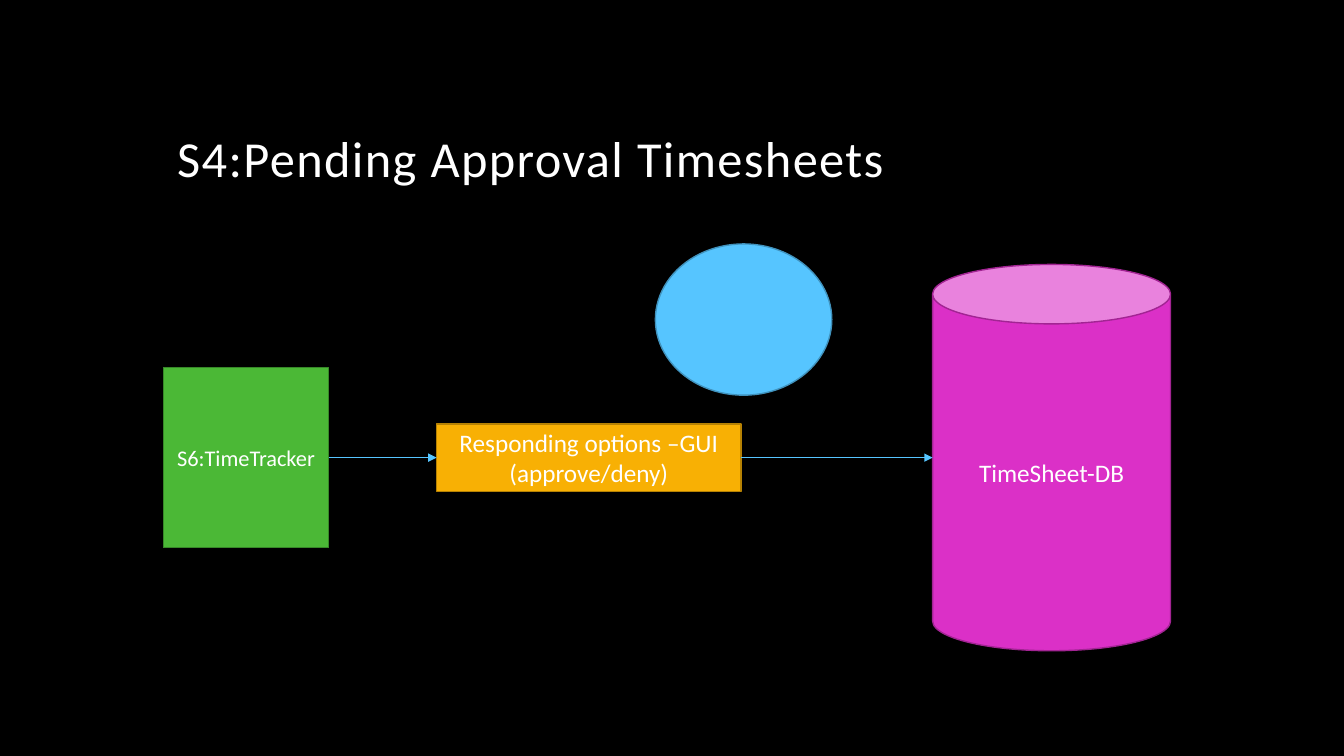
from dataclasses import dataclass

from lxml import etree
from pptx import Presentation
from pptx.dml.color import RGBColor
from pptx.enum.shapes import MSO_CONNECTOR, MSO_SHAPE
from pptx.enum.text import MSO_ANCHOR, PP_ALIGN
from pptx.oxml.ns import qn
from pptx.util import Inches, Pt

RECT, CAN, OVAL = MSO_SHAPE.RECTANGLE, MSO_SHAPE.CAN, MSO_SHAPE.OVAL
STRAIGHT = MSO_CONNECTOR.STRAIGHT
MIDDLE, BOTTOM = MSO_ANCHOR.MIDDLE, MSO_ANCHOR.BOTTOM
LEFT, CENTER = PP_ALIGN.LEFT, PP_ALIGN.CENTER
SIDE_LEFT, SIDE_RIGHT = 1, 3


@dataclass(frozen=True)
class Theme:
    """Colours as (fill, line) pairs, and type sizes."""
    font: str = "Calibri"
    background: str = "000000"
    text: str = "FFFFFF"
    green: tuple = ("4BB836", "378828")
    magenta: tuple = ("DB30C7", "A22493")
    amber: tuple = ("F8B004", "B78203")
    sky: tuple = ("56C5FF", "4092BD")
    title: int = 36
    body: int = 18
    small: int = 16
    outline: float = 1
    arrow: float = 0.5


THEME = Theme()


@dataclass(frozen=True)
class Box:
    """A region in inches, divided into 100 columns and 100 rows."""
    x: float
    y: float
    w: float
    h: float

    def cell(self, col, row, cols, rows):
        """Return the left, top, width and height of a block of cells."""
        return (Inches(self.x + self.w * col / 100), Inches(self.y + self.h * row / 100),
                Inches(self.w * cols / 100), Inches(self.h * rows / 100))


def rgb(value):
    """Turn a hex string into a colour."""
    return RGBColor.from_string(value)


def write(s, lines, size, align, anchor):
    """Write one paragraph per line and return the text frame."""
    tf = s.text_frame
    tf.word_wrap = True
    tf.vertical_anchor = anchor
    for i, line in enumerate(lines):
        p = tf.paragraphs[0] if i == 0 else tf.add_paragraph()
        p.alignment = align
        r = p.add_run()
        r.text = line
        r.font.name, r.font.size = THEME.font, Pt(size)
        r.font.color.rgb = rgb(THEME.text)
    return tf


def add_node(slide, kind, place, colors, lines=(), size=THEME.body):
    """Add a filled, outlined shape with centred text."""
    s = slide.shapes.add_shape(kind, *place)
    s.shadow.inherit = False
    s.fill.solid()
    s.fill.fore_color.rgb = rgb(colors[0])
    s.line.color.rgb = rgb(colors[1])
    s.line.width = Pt(THEME.outline)
    write(s, lines, size, CENTER, MIDDLE)
    return s


def add_arrow(slide, start, end, join_end):
    """Draw an arrow from the right side of start to the left side of end."""
    y = start.top + start.height // 2
    c = slide.shapes.add_connector(STRAIGHT, start.left + start.width, y, end.left, y)
    c.begin_connect(start, SIDE_RIGHT)
    if join_end:
        c.end_connect(end, SIDE_LEFT)
    c.line.color.rgb = rgb(THEME.sky[0])
    c.line.width = Pt(THEME.arrow)
    etree.SubElement(c.line._get_or_add_ln(), qn("a:tailEnd"), type="triangle")
    etree.SubElement(c._element.spPr, qn("a:effectLst"))


def add_title(slide, box, text):
    """Set the slide title at the foot of its box."""
    s = slide.shapes.add_textbox(*box.cell(0, 0, 100, 100))
    tf = write(s, [text], THEME.title, LEFT, BOTTOM)
    p = tf.paragraphs[0]
    p.line_spacing = 0.9
    p.runs[0].font._element.set("spc", "100")


def add_flow(slide, box):
    """Place the tracker, options and database on one axis, and the circle above."""
    def on_axis(col, cols, rows):
        return box.cell(col, (100 - rows) / 2, cols, rows)

    tracker = add_node(slide, RECT, on_axis(0, 16.4, 42.2), THEME.green,
                       ["S6:TimeTracker"], THEME.small)
    database = add_node(slide, CAN, on_axis(76.3, 23.6, 90.4), THEME.magenta, ["TimeSheet-DB"])
    options = add_node(slide, RECT, on_axis(27.1, 30.2, 15.8), THEME.amber,
                       ["Responding options –GUI", "(approve/deny)"])
    add_arrow(slide, tracker, options, True)
    add_arrow(slide, options, database, False)
    add_node(slide, OVAL, box.cell(48.8, 0, 17.5, 35.4), THEME.sky)


def main():
    """Build and save the slide."""
    prs = Presentation()
    prs.slide_width, prs.slide_height = Inches(13.33), Inches(7.5)
    slide = prs.slides.add_slide(prs.slide_layouts[6])
    slide.background.fill.solid()
    slide.background.fill.fore_color.rgb = rgb(THEME.background)
    add_title(slide, Box(1.66, 0.42, 10, 1.5), "S4:Pending Approval Timesheets")
    add_flow(slide, Box(1.62, 2.42, 10, 4.24))
    prs.save("out.pptx")


if __name__ == "__main__":
    main()
